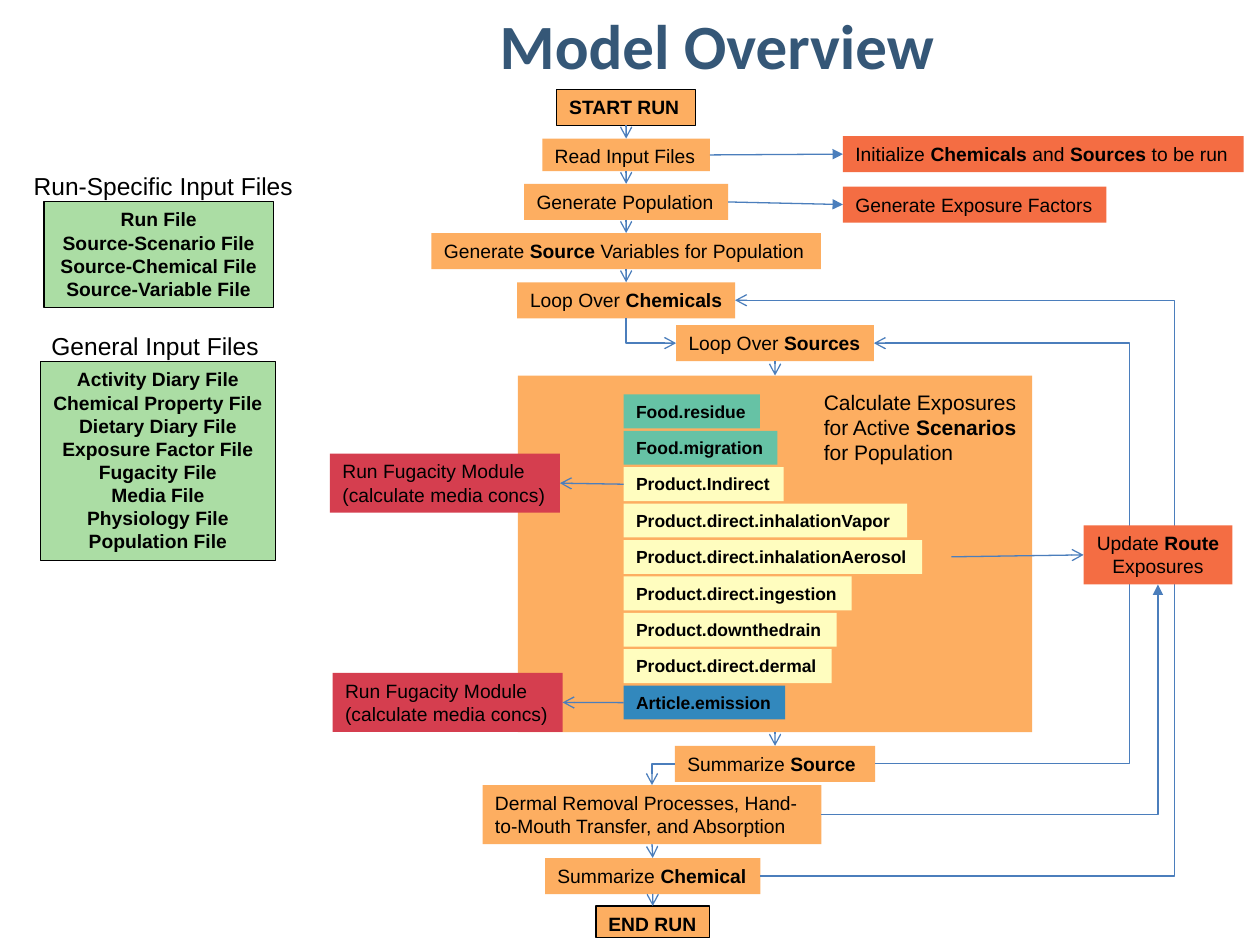
from lxml import etree
from pptx import Presentation
from pptx.dml.color import RGBColor
from pptx.enum.shapes import MSO_CONNECTOR as Conn, MSO_SHAPE as Shape
from pptx.enum.text import MSO_ANCHOR as Anchor, MSO_AUTO_SIZE as AutoSize, PP_ALIGN as Align
from pptx.oxml.ns import qn
from pptx.util import Pt

ORANGE, RED, CRIMSON, GREEN = "FDAE61", "F46D43", "D53E4F", "ABDDA4"
TEAL, YELLOW, BLUE = "66C2A5", "FFFDBF", "3288BD"
BLACK, NAVY, ARROW = "000000", "355777", "4B7EBC"
TOP, LEFT, BOTTOM, RIGHT = range(4)
ROW_H, TWO_ROW_H = 20.6, 33.8


def color(hex_string):
    return RGBColor.from_string(hex_string)


def write(s, text, size, bold=False, align=Align.LEFT, wrap=False,
          font="Arial", ink=BLACK):
    """Fill a shape with text; **double stars** mark bold words."""
    tf = s.text_frame
    tf.word_wrap = wrap
    tf.auto_size = AutoSize.SHAPE_TO_FIT_TEXT
    tf.vertical_anchor = Anchor.TOP
    for i, line in enumerate(text.split("\n")):
        p = tf.add_paragraph() if i else tf.paragraphs[0]
        p.alignment = align
        p.font.size, p.font.name = Pt(size), font
        p.font.bold = bold
        p.font.color.rgb = color(ink)
        for j, part in enumerate(line.split("**")):
            if part:
                r = p.add_run()
                r.text = part
                if j % 2:
                    r.font.bold = True


def box(shapes, text, left, top, width, height, fill, size=11, outline=False, **style):
    s = shapes.add_shape(Shape.RECTANGLE, Pt(left), Pt(top), Pt(width), Pt(height))
    s.shadow.inherit = False
    s.fill.solid()
    s.fill.fore_color.rgb = color(fill)
    if outline:
        s.line.color.rgb = color(BLACK)
        s.line.width = Pt(0.75)
    else:
        s.line.fill.background()
    if text:
        write(s, text, size, **style)
    return s


def step(shapes, text, center, top, width, height=ROW_H, **style):
    """Orange step of the flow, placed by its centre line."""
    return box(shapes, text, center - width / 2, top, width, height, ORANGE, **style)


def label(shapes, text, left, top, width, height, size, **style):
    sp = shapes.add_textbox(Pt(left), Pt(top), Pt(width), Pt(height))
    write(sp, text, size, **style)


def arrow(shapes, start, end, head="arrow", kind=Conn.STRAIGHT, at="tailEnd"):
    """Join (shape, side) to (shape, side); start may be an (x, y) point."""
    c = shapes.add_connector(kind, 0, 0, 0, 0)
    if isinstance(start[0], (int, float)):
        c.begin_x, c.begin_y = Pt(start[0]), Pt(start[1])
    else:
        c.begin_connect(*start)
    c.end_connect(*end)
    c.line.color.rgb = color(ARROW)
    c.line.width = Pt(0.75)
    etree.SubElement(c.line._get_or_add_ln(), qn("a:" + at), type=head)
    etree.SubElement(c._element.spPr, qn("a:effectLst"))
    return c


def corner(shapes, start, end, **style):
    """Arrow with one bend, horizontal first."""
    c = arrow(shapes, start, end, kind=Conn.ELBOW, **style)
    c._element.spPr.find(qn("a:prstGeom")).set("prst", "bentConnector2")


def loop_back(shapes, start, end, via_x):
    """Arrow that runs out to via_x and returns."""
    c = arrow(shapes, start, end, kind=Conn.ELBOW)
    ratio = (Pt(via_x) - c.begin_x) / (c.end_x - c.begin_x)
    geom = c._element.spPr.find(qn("a:prstGeom"))
    guides = geom.find(qn("a:avLst"))
    if guides is None:
        guides = etree.SubElement(geom, qn("a:avLst"))
    etree.SubElement(guides, qn("a:gd"), name="adj1", fmla=f"val {round(ratio * 100000)}")


def input_files(shapes):
    label(shapes, "Run-Specific Input Files", 12.2, 94.3, 163.4, 24.5, 14)
    label(shapes, "General Input Files", 22.3, 185.8, 133.9, 24.5, 14)
    style = dict(bold=True, align=Align.CENTER, outline=True)
    box(shapes, "Run File\nSource-Scenario File\nSource-Chemical File\n"
        "Source-Variable File", 25.2, 115.2, 131, 60.5, GREEN, **style)
    box(shapes, "Activity Diary File\nChemical Property File\nDietary Diary File\n"
        "Exposure Factor File\nFugacity File\nMedia File\nPhysiology File\n"
        "Population File", 23, 206.6, 134.6, 113.8, GREEN, **style)


def scenarios(shapes):
    rows = [
        ("Food.residue", 77.8, TEAL),
        ("Food.migration", 87.8, TEAL),
        ("Product.Indirect", 91.4, YELLOW),
        ("Product.direct.inhalationVapor", 162, YELLOW),
        ("Product.direct.inhalationAerosol", 170.6, YELLOW),
        ("Product.direct.ingestion", 130.3, YELLOW),
        ("Product.downthedrain", 121.7, YELLOW),
        ("Product.direct.dermal", 118.8, YELLOW),
        ("Article.emission", 92.2, BLUE),
    ]
    made = {name: box(shapes, name, 356.4, 225.4 + 20.8 * i, width, 19.4, fill,
                      size=10, bold=True)
            for i, (name, width, fill) in enumerate(rows)}
    label(shapes, "Calculate Exposures for Active **Scenarios** for Population",
          463.7, 218.9, 129.6, 51.1, 12, wrap=True)

    # Fugacity modules fed by two of the scenarios
    for name, left, top in (("Product.Indirect", 188.6, 259.2),
                            ("Article.emission", 190.1, 384.5)):
        module = box(shapes, "Run Fugacity Module\n(calculate media concs)",
                     left, top, 131.4, TWO_ROW_H, CRIMSON)
        arrow(shapes, (made[name], LEFT), (module, RIGHT))


def main():
    prs = Presentation()
    prs.slide_width, prs.slide_height = Pt(720), Pt(540)
    shapes = prs.slides.add_slide(prs.slide_layouts[6]).shapes

    label(shapes, "Model Overview", 130.3, 0, 558.7, 90, 36, bold=True,
          align=Align.CENTER, wrap=True, font="Calibri", ink=NAVY)
    input_files(shapes)

    # Steps from top to bottom
    start = step(shapes, "START RUN", 357.8, 51.1, 79.2, bold=True, outline=True)
    read = step(shapes, "Read Input Files", 357.8, 79.2, 95.8, 18.7)
    population = step(shapes, "Generate Population", 357.8, 105.1, 116.6)
    variables = step(shapes, "Generate **Source** Variables for Population",
                     357.8, 133.2, 222.5)
    chemicals = step(shapes, "Loop Over **Chemicals**", 357.8, 161.3, 124.6,
                     align=Align.CENTER)
    sources = step(shapes, "Loop Over **Sources**", 442.9, 185.8, 113)
    panel = step(shapes, "", 442.9, 214.6, 293.8, 203.8)
    sum_source = step(shapes, "Summarize **Source**", 442.9, 426.2, 114.5)
    dermal = step(shapes, "Dermal Removal Processes, Hand-to-Mouth Transfer, "
                  "and Absorption", 372.6, 448.6, 193.7, TWO_ROW_H, wrap=True)
    sum_chemical = step(shapes, "Summarize **Chemical**", 373, 490.3, 123.1)
    end = step(shapes, "END RUN", 373, 517.7, 64.8, 18, bold=True, outline=True,
               wrap=True)
    scenarios(shapes)

    # Downward flow
    for chain in ((start, read, population, variables, chemicals),
                  (sources, panel, sum_source), (dermal, sum_chemical, end)):
        for upper, lower in zip(chain, chain[1:]):
            arrow(shapes, (upper, BOTTOM), (lower, TOP))
    corner(shapes, (sources, LEFT), (chemicals, BOTTOM), at="headEnd")
    corner(shapes, (sum_source, LEFT), (dermal, TOP))

    # Loops pass behind the route update
    loop_back(shapes, (sum_source, RIGHT), (sources, RIGHT), 648)
    loop_back(shapes, (sum_chemical, RIGHT), (chemicals, RIGHT), 671)
    update = box(shapes, "Update **Route**\nExposures", 619.2, 300.2, 85, TWO_ROW_H,
                 RED, align=Align.CENTER)
    arrow(shapes, (543.6, 318.2), (update, LEFT))
    corner(shapes, (dermal, RIGHT), (update, BOTTOM), head="triangle")

    # Side results
    initialize = box(shapes, "Initialize **Chemicals** and **Sources** to be run",
                     481.7, 77.8, 229, ROW_H, RED)
    factors = box(shapes, "Generate Exposure Factors", 481.7, 106.6, 150.5, ROW_H, RED)
    arrow(shapes, (read, RIGHT), (initialize, LEFT), head="triangle")
    arrow(shapes, (population, RIGHT), (factors, LEFT), head="triangle")

    prs.save("out.pptx")


if __name__ == "__main__":
    main()
